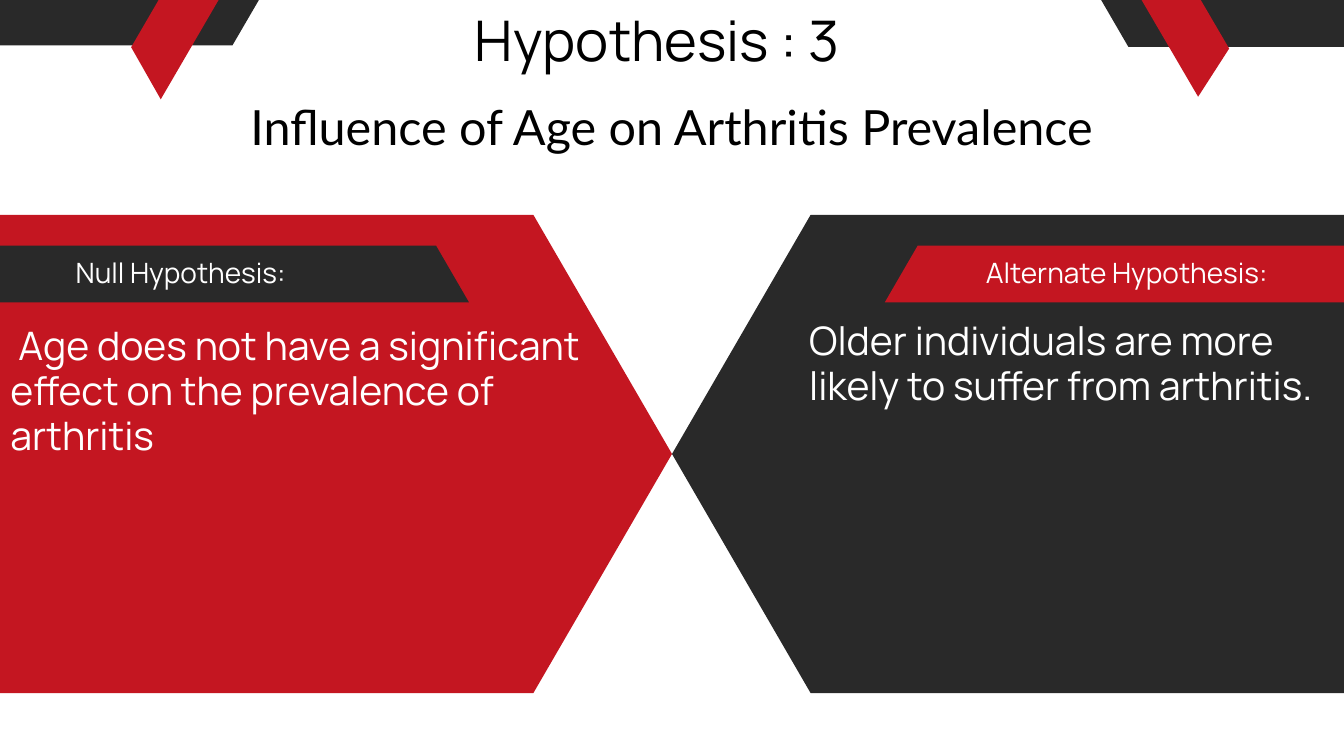
"""Build the slide on the influence of age on arthritis prevalence."""
from pptx import Presentation
from pptx.dml.color import RGBColor
from pptx.enum.text import MSO_AUTO_SIZE, PP_ALIGN
from pptx.util import Pt

PX = 9525
RED = RGBColor(0xC4, 0x16, 0x21)
DARK = RGBColor(0x29, 0x29, 0x29)
BLACK = RGBColor(0, 0, 0)
WHITE = RGBColor(255, 255, 255)


def add_polygon(s, points, color, rotation=0):
    start, *rest = [(x * PX, y * PX) for x, y in points]
    builder = s.shapes.build_freeform(*start)
    builder.add_line_segments(rest, close=True)
    sp = builder.convert_to_shape()
    sp.shadow.inherit = False
    sp.fill.solid()
    sp.fill.fore_color.rgb = color
    sp.line.fill.background()
    sp.rotation = rotation


def add_hexagon(s, x, y, w, h, inset, color):
    mid, right, bottom = y + h / 2, x + w, y + h
    add_polygon(s, [(right, mid), (right - inset, bottom), (x + inset, bottom),
                    (x, mid), (x + inset, y), (right - inset, y)], color)


def add_slanted_bar(s, x, y, w, h, slant, color, rotation=0):
    top, bottom = max(slant, 0), max(-slant, 0)
    edge = w - abs(slant)
    add_polygon(s, [(x + top, y), (x + top + edge, y),
                    (x + bottom + edge, y + h), (x + bottom, y + h)],
                color, rotation)


def add_text(s, x, y, w, h, text, size, spacing, color=WHITE,
             align=PP_ALIGN.LEFT, font="Manrope"):
    tf = s.shapes.add_textbox(x * PX, y * PX, w * PX, h * PX).text_frame
    tf.margin_left = tf.margin_top = tf.margin_right = tf.margin_bottom = 0
    tf.word_wrap = True
    tf.auto_size = MSO_AUTO_SIZE.SHAPE_TO_FIT_TEXT
    tf.text = text
    p = tf.paragraphs[0]
    p.alignment = align
    p.line_spacing = Pt(spacing)
    r = p.runs[0]
    r.font.size = Pt(size)
    r.font.name = font
    r.font.color.rgb = color


def main():
    prs = Presentation()
    prs.slide_width, prs.slide_height = 1920 * PX, 1080 * PX
    s = prs.slides.add_slide(prs.slide_layouts[6])

    add_hexagon(s, -326, 307, 1286, 683, 198, RED)
    add_hexagon(s, 960, 307, 1286, 683, 198, DARK)
    add_slanted_bar(s, -205, 351, 875, 81, -47, DARK)
    add_slanted_bar(s, 1264, 351, 912, 81, 47, RED)

    add_text(s, 533, 12, 812, 98, "Hypothesis : 3", 60, 69, BLACK,
             PP_ALIGN.CENTER)
    add_text(s, 108, 367, 477, 49, "Null Hypothesis:", 30, 34.5)
    add_text(s, 1341, 367, 470, 49, "Alternate Hypothesis:", 30, 34.5,
             align=PP_ALIGN.RIGHT)
    add_text(s, 15, 462, 815, 197,
             " Age does not have a significant effect on the prevalence of "
             "arthritis", 42, 48.3)
    add_text(s, 1156, 454, 727, 197,
             "Older individuals are more likely to suffer from arthritis.",
             42, 48.3)

    add_hexagon(s, 1423, -584, 919, 651, 189, DARK)
    add_slanted_bar(s, 1537, -35, 274, 73, -37, RED, 59.7)
    add_hexagon(s, -356, -525, 860, 590, 172, DARK)
    add_slanted_bar(s, 140, -14, 232, 74, 43, RED, 120.2)
    add_text(s, 143, 124, 1633, 93, "Influence of Age on Arthritis Prevalence",
             52, 72.8, BLACK, PP_ALIGN.CENTER, "Lato")

    prs.save("out.pptx")


if __name__ == "__main__":
    main()
